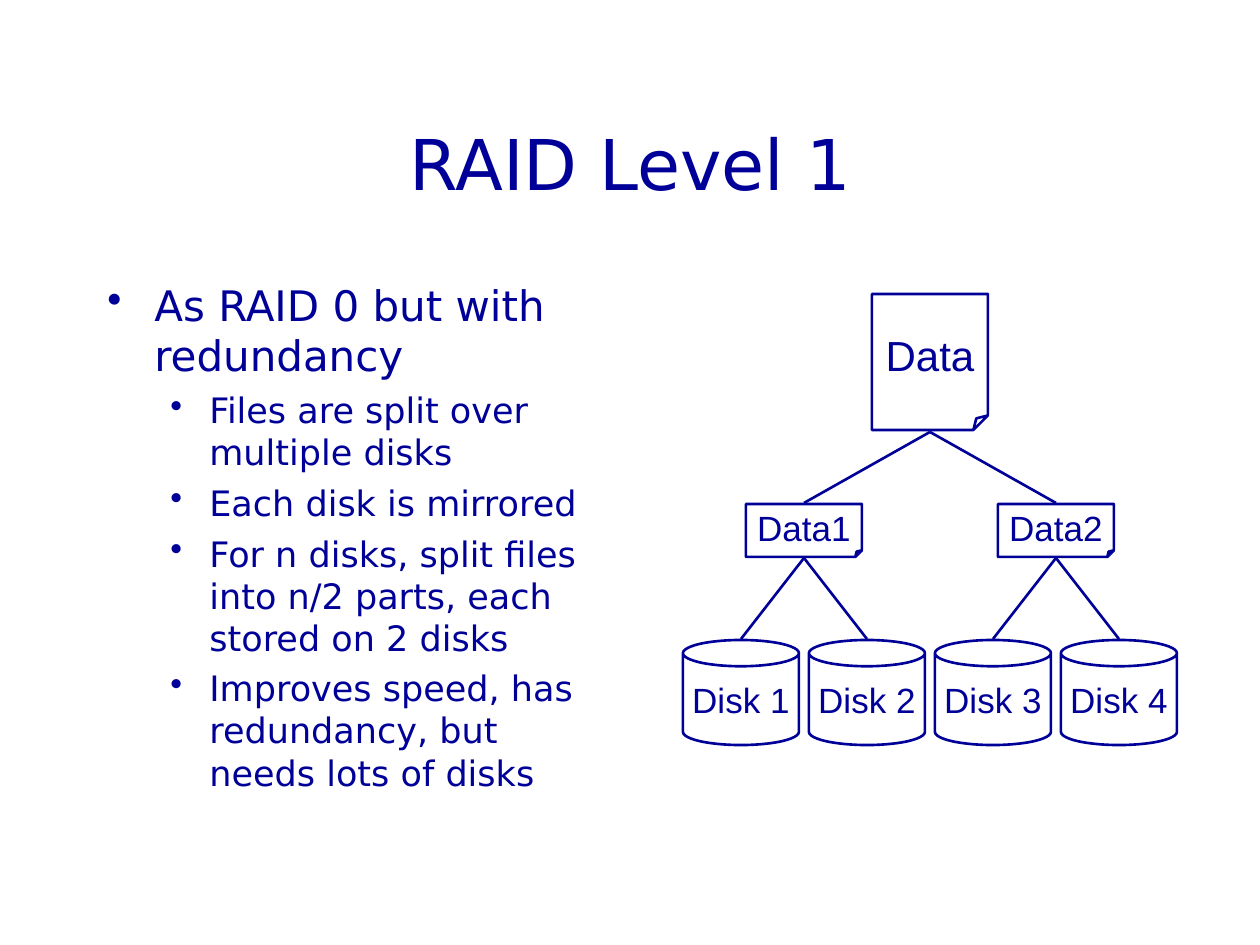
from lxml.etree import SubElement
from pptx import Presentation
from pptx.dml.color import RGBColor
from pptx.enum.shapes import MSO_CONNECTOR as Link, MSO_SHAPE as Shape
from pptx.enum.text import MSO_ANCHOR as Anchor, PP_ALIGN as Align
from pptx.oxml.ns import qn
from pptx.util import Pt

NAVY = RGBColor(0x00, 0x00, 0x99)
SCALE = 914400 / 126
SANS = "DejaVu Sans"
POINTS = [
    "Files are split over multiple disks",
    "Each disk is mirrored",
    "For n disks, split files into n/2 parts, each stored on 2 disks",
    "Improves speed, has redundancy, but needs lots of disks",
]
STEP = 126
WIDE = 116


def px(*nums):
    return [round(n * SCALE) for n in nums]


def add_run(para, text, size, font):
    run = para.add_run()
    run.text = text
    run.font.size = Pt(size)
    run.font.name = font
    run.font.color.rgb = NAVY


def add_title(slide, text):
    frame = slide.shapes.add_textbox(*px(95, 84, 1071, 158)).text_frame
    frame.word_wrap = True
    frame.vertical_anchor = Anchor.MIDDLE
    para = frame.paragraphs[0]
    para.alignment = Align.CENTER
    add_run(para, text, 40, SANS)


def add_point(para, text, size, level, left, hang, space):
    para.level = level
    para.space_before = Pt(space)
    props = para._p.get_or_add_pPr()
    left, hang = px(left, hang)
    props.set("marL", str(left))
    props.set("indent", str(-hang))
    SubElement(props, qn("a:buChar")).set("char", "•")
    add_run(para, text, size, SANS)


def add_body(slide, head, points):
    frame = slide.shapes.add_textbox(*px(95, 273, 525, 567)).text_frame
    frame.word_wrap = True
    add_point(frame.paragraphs[0], head, 24, 0, 47, 47, 6)
    for text in points:
        add_point(frame.add_paragraph(), text, 20, 1, 102, 39, 5)


def set_fold(node, ratio):
    geom = node._element.spPr.find(qn("a:prstGeom"))
    guide = SubElement(geom.find(qn("a:avLst")), qn("a:gd"))
    guide.set("name", "adj")
    guide.set("fmla", f"val {round(ratio * 100000)}")


def add_node(slide, kind, text, size, left, top, high):
    node = slide.shapes.add_shape(kind, *px(left, top, WIDE, high))
    node.shadow.inherit = False
    node.fill.background()
    node.line.color.rgb = NAVY
    node.line.width = Pt(1.5)
    frame = node.text_frame
    frame.word_wrap = False
    frame.vertical_anchor = Anchor.MIDDLE
    para = frame.paragraphs[0]
    para.alignment = Align.CENTER
    add_run(para, text, size, "Arial")
    return node


def add_page(slide, text, size, left, top, high):
    node = add_node(slide, Shape.FOLDED_CORNER, text, size, left, top, high)
    set_fold(node, 0.125)


def add_disk(slide, text, left, top):
    node = add_node(slide, Shape.CAN, text, 20, left, top, 105)
    node.adjustments[0] = 0.25


def add_fork(slide, mid, top, reach, low):
    for end in (mid - reach, mid + reach):
        line = slide.shapes.add_connector(Link.STRAIGHT, *px(mid, top, end, low))
        line.line.color.rgb = NAVY
        line.line.width = Pt(1.5)
        SubElement(line._element.spPr, qn("a:effectLst"))


def main():
    deck = Presentation()
    deck.slide_width, deck.slide_height = px(1260, 945)
    slide = deck.slides.add_slide(deck.slide_layouts[6])
    add_title(slide, "RAID Level 1")
    add_body(slide, "As RAID 0 but with redundancy", POINTS)

    add_page(slide, "Data", 24, 872, 294, 136)
    add_fork(slide, 930, 432, STEP, 503)
    for i in range(2):
        left = 746 + 2 * STEP * i
        add_page(slide, f"Data{i + 1}", 20, left, 504, 53)
        add_fork(slide, left + WIDE // 2, 558, STEP // 2, 639)
    for i in range(4):
        add_disk(slide, f"Disk {i + 1}", 683 + STEP * i, 640)
    deck.save("out.pptx")


if __name__ == "__main__":
    main()
